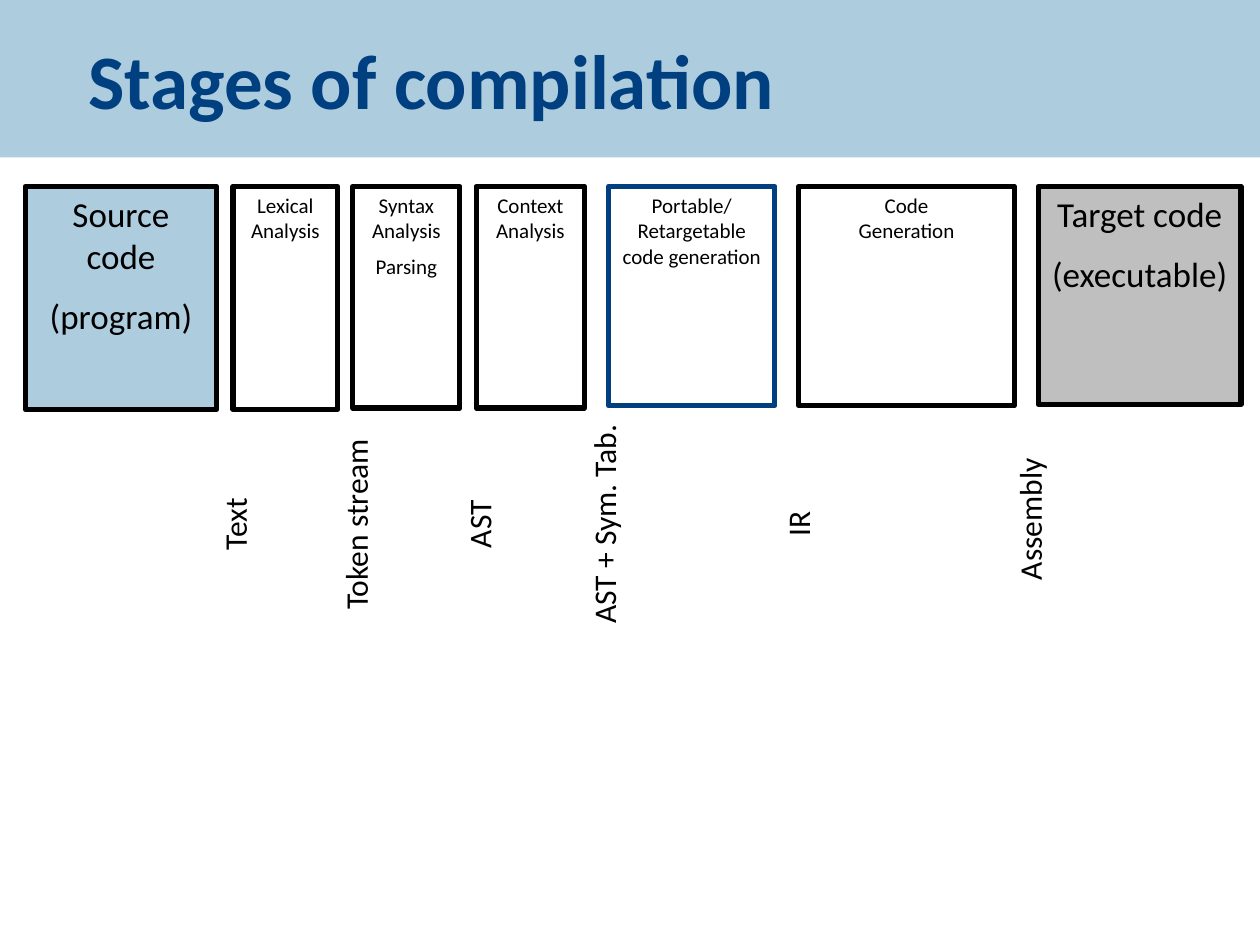
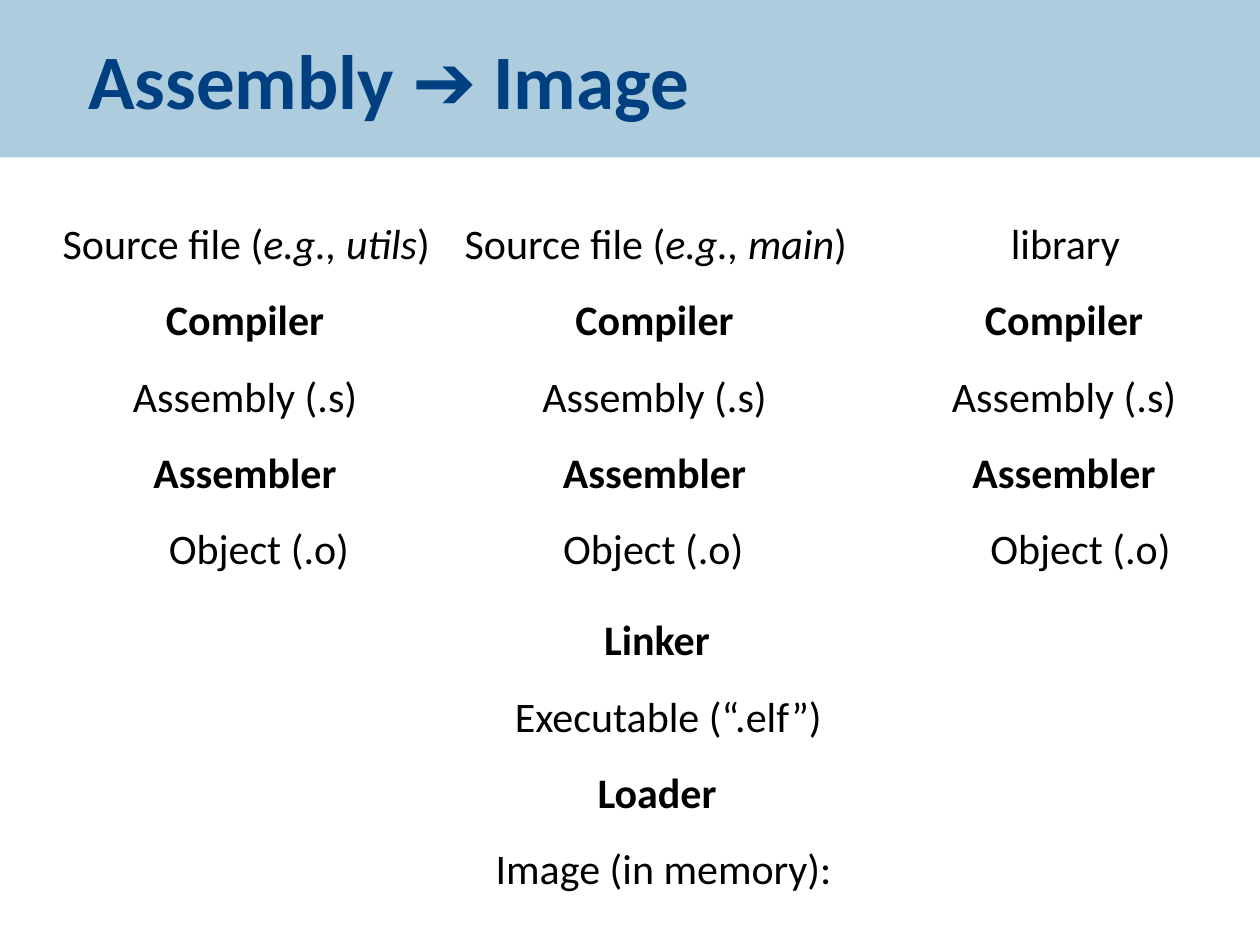
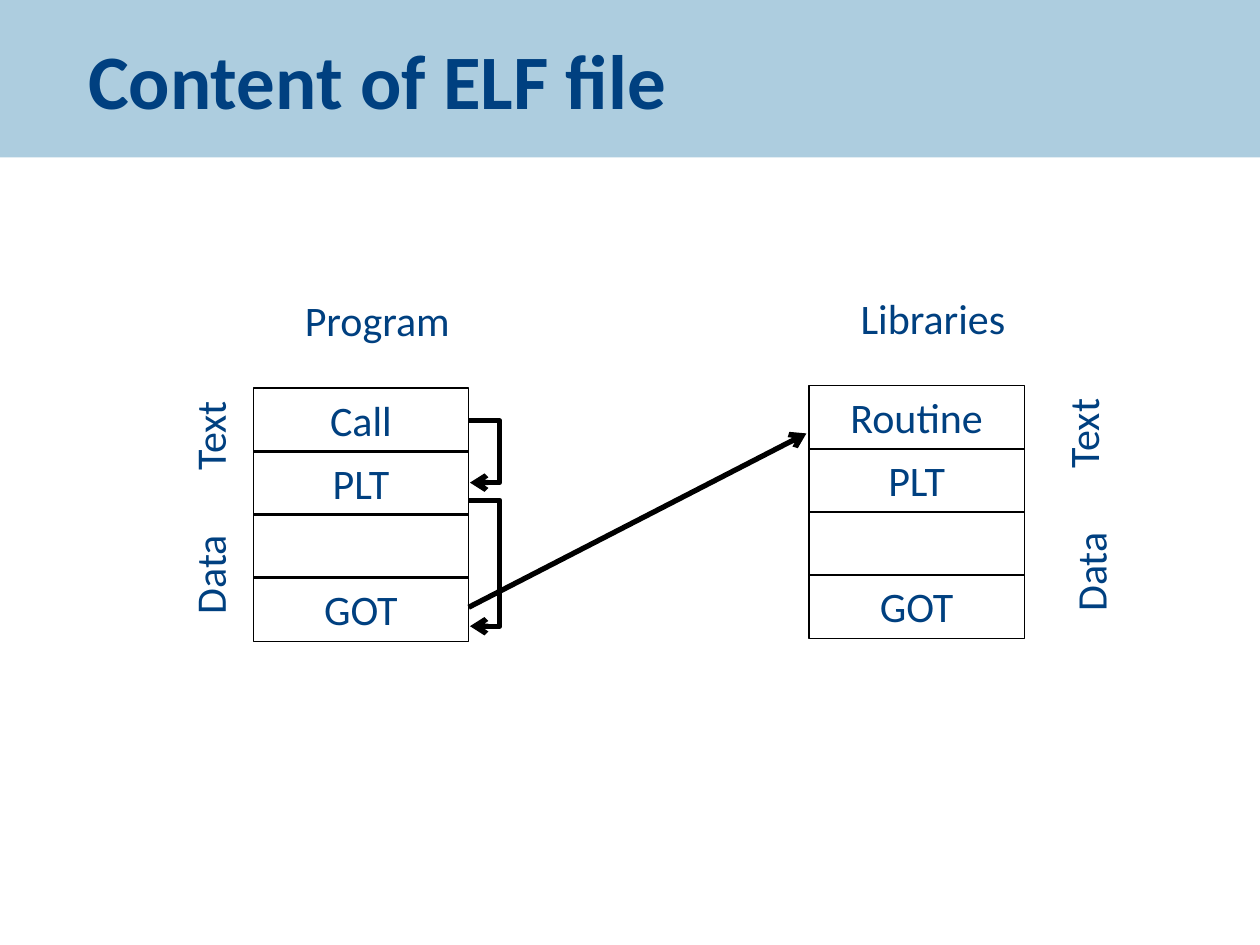
from pptx import Presentation
from pptx import util as u
from pptx.dml import color as col
from pptx.enum import shapes as sh, text as tx
from pptx.oxml import ns
from lxml import etree

INK = {"band": "ADCDDF", "navy": "004080", "black": "000000",
       "white": "FFFFFF", "grey": "BFBFBF"}
FONT = "Calibri"
TOP, MID = tx.MSO_ANCHOR.TOP, tx.MSO_ANCHOR.MIDDLE


def rgb(key):
    return col.RGBColor.from_string(INK[key])


def inch(*nums):
    return [u.Inches(n) for n in nums]


def style(para, size, ink, bold=False, align=tx.PP_ALIGN.CENTER):
    para.alignment = align
    font = para.font
    font.name, font.size, font.bold = FONT, u.Pt(size), bold
    font.color.rgb = rgb(ink)


def write(shape, paras, size, ink, bold=False, anchor=TOP, wrap=True):
    frame = shape.text_frame
    frame.word_wrap = wrap
    frame.vertical_anchor = anchor
    for i, words in enumerate(paras):
        para = frame.add_paragraph() if i else frame.paragraphs[0]
        if isinstance(words, str):
            para.text = words
        else:
            for j, part in enumerate(words):
                run = para.add_run()
                run.text = part
                if j % 2:
                    run.font.italic = True
        if i:
            para.space_before = u.Pt(size / 2)
        style(para, size, ink, bold)


def label(on, box, words, size=24, ink="black", turn=0):
    shape = on.add_textbox(*inch(*box))
    shape.rotation = turn
    write(shape, [words], size, ink)


def upright(on, x, y, wide, words, size, ink):
    tall = size / 60 + 0.1
    label(on, (x - wide / 2, y - tall / 2, wide, tall), words, size, ink, 270)


def block(on, box, fill, line, width):
    shape = on.add_shape(sh.MSO_SHAPE.RECTANGLE, *inch(*box))
    shape.shadow.inherit = False
    if fill:
        shape.fill.solid()
        shape.fill.fore_color.rgb = rgb(fill)
    else:
        shape.fill.background()
    shape.line.color.rgb = rgb(line)
    shape.line.width = u.Pt(width)
    return shape


def arrow(on, start, end, bend=None):
    kind = sh.MSO_CONNECTOR.ELBOW if bend else sh.MSO_CONNECTOR.STRAIGHT
    link = on.add_connector(kind, *inch(*start, *end))
    link.line.color.rgb = rgb("black")
    link.line.width = u.Pt(3)
    props = link._element.spPr
    head = etree.SubElement(props.find(ns.qn("a:ln")), ns.qn("a:tailEnd"))
    head.set("type", "arrow")
    etree.SubElement(props, ns.qn("a:effectLst"))
    if bend:
        link.adjustments if hasattr(link, "adjustments") else None
        geom = props.find(ns.qn("a:prstGeom"))
        guides = geom.find(ns.qn("a:avLst"))
        if guides is None:
            guides = etree.SubElement(geom, ns.qn("a:avLst"))
        guide = etree.SubElement(guides, ns.qn("a:gd"))
        guide.set("name", "adj1")
        ratio = bend / (end[0] - start[0])
        guide.set("fmla", f"val {round(ratio * 100000)}")


def page(deck, words):
    slide = deck.slides.add_slide(deck.slide_layouts[5])
    title = slide.shapes.title
    title.left, title.top, title.width, title.height = inch(0, 0, 10, 1.25)
    title.fill.solid()
    title.fill.fore_color.rgb = rgb("band")
    frame = title.text_frame
    frame.text = words
    frame.auto_size = tx.MSO_AUTO_SIZE.NONE
    frame.vertical_anchor = MID
    para = frame.paragraphs[0]
    style(para, 44, "navy", True, tx.PP_ALIGN.LEFT)
    props = para._p.get_or_add_pPr()
    props.set("marL", str(u.Inches(0.6)))
    props.set("indent", "0")
    return slide.shapes


def stages(on, top):
    steps = [
        (0.2, 1.52, 1.77, "band", "black", 20, ["Source code", "(program)"]),
        (1.85, 0.83, 1.77, "white", "black", 12, ["Lexical\vAnalysis"]),
        (2.8, 0.85, 1.76, "white", "black", 12, ["Syntax Analysis", "Parsing"]),
        (3.78, 0.86, 1.76, "white", "black", 12, ["Context Analysis"]),
        (4.83, 1.32, 1.74, "white", "navy", 12,
         ["Portable/Retargetable code generation"]),
        (6.34, 1.71, 1.74, "white", "black", 12, ["Code\vGeneration"]),
        (8.24, 1.61, 1.73, "grey", "black", 20, ["Target code", "(executable)"]),
    ]
    for left, wide, tall, fill, line, size, paras in steps:
        shape = block(on, (left, top, wide, tall), fill, line, 3)
        write(shape, paras, size, "black")


def forms(on, mid):
    marks = [("Text", 1.86, 0), ("Token stream", 2.82, 0), ("AST", 3.8, 0),
             ("AST + Sym. Tab.", 4.79, 0), ("IR", 6.33, 0),
             ("Assembly", 8.17, -0.04)]
    for words, x, shift in marks:
        wide = 0.78 if words == "IR" else 1.93
        upright(on, x, mid + shift, wide, words, 18, "black")


PITCH = 1.21


def tool(on, left, top, words):
    shape = block(on, (left, top, 2.21, 0.6), "white", "white", 3)
    write(shape, [words], 24, "black", True, MID, False)


def build(on, left, top, source, shift):
    group = on.add_group_shape().shapes
    for i, words in enumerate(["Compiler", "Assembler"]):
        tool(group, left, top + 0.55 + i * PITCH, words)
    label(group, (left - 0.67, top, 3.57, 0.5), source)
    label(group, (left - 1, top + PITCH, 4.21, 0.5), "Assembly (.s)")
    label(on, (left - 1 + shift, top + 2 * PITCH, 4.21, 0.5), "Object (.o)")


def join(on, left, top):
    steps = [("Linker", "Executable (“.elf”)"),
             ("Loader", "Image (in memory): ")]
    for i, (name, made) in enumerate(steps):
        y = top + i * PITCH
        tool(on, left, y, name)
        label(on, (left - 3.22, y + 0.66, 8.83, 0.5), made)


def stack(on, left, top, head, first, marks):
    cells = [first, "PLT", None, "GOT"]
    for i, words in enumerate(cells):
        shape = block(on, (left, top + i * 0.5, 1.71, 0.51),
                      None, "black", 0.75)
        if words:
            write(shape, [words], 24, "navy")
    label(on, (left, top - 0.79, 1.97, 0.5), head, ink="navy")
    for i, (words, x) in enumerate(zip(["Text", "Data"], marks)):
        upright(on, left + x, top + 0.38 + i * 1.1, 1.13, words, 24, "navy")


def calls(on, left, top):
    for start, end in [(0.26, 0.75), (0.89, 1.89)]:
        arrow(on, (left, top + start), (left + 0.01, top + end), 0.25)
    arrow(on, (left, top + 1.74), (left + 2.68, top + 0.36))


deck = Presentation()
deck.slide_width, deck.slide_height = inch(10, 7.5)

on = page(deck, "Stages of compilation")
stages(on, 1.48)
forms(on, 4.16)

on = page(deck, "Assembly ➔ Image")
files = [(("Source file (", "e.g., utils", ")"), 0.11),
         (("Source file (", "e.g., main", ")"), -0.01),
         ("library", 0.13)]
for i, (source, shift) in enumerate(files):
    build(on, 0.84 + i * 3.25, 1.68, source, shift)
join(on, 4.11, 4.77)

on = page(deck, "Content of ELF file")
stack(on, 2.01, 3.08, "Program", "Call", (-0.35, -0.35))
stack(on, 6.42, 3.06, "Libraries", "Routine", (2.17, 2.23))
calls(on, 3.72, 3.08)

deck.save("out.pptx")
